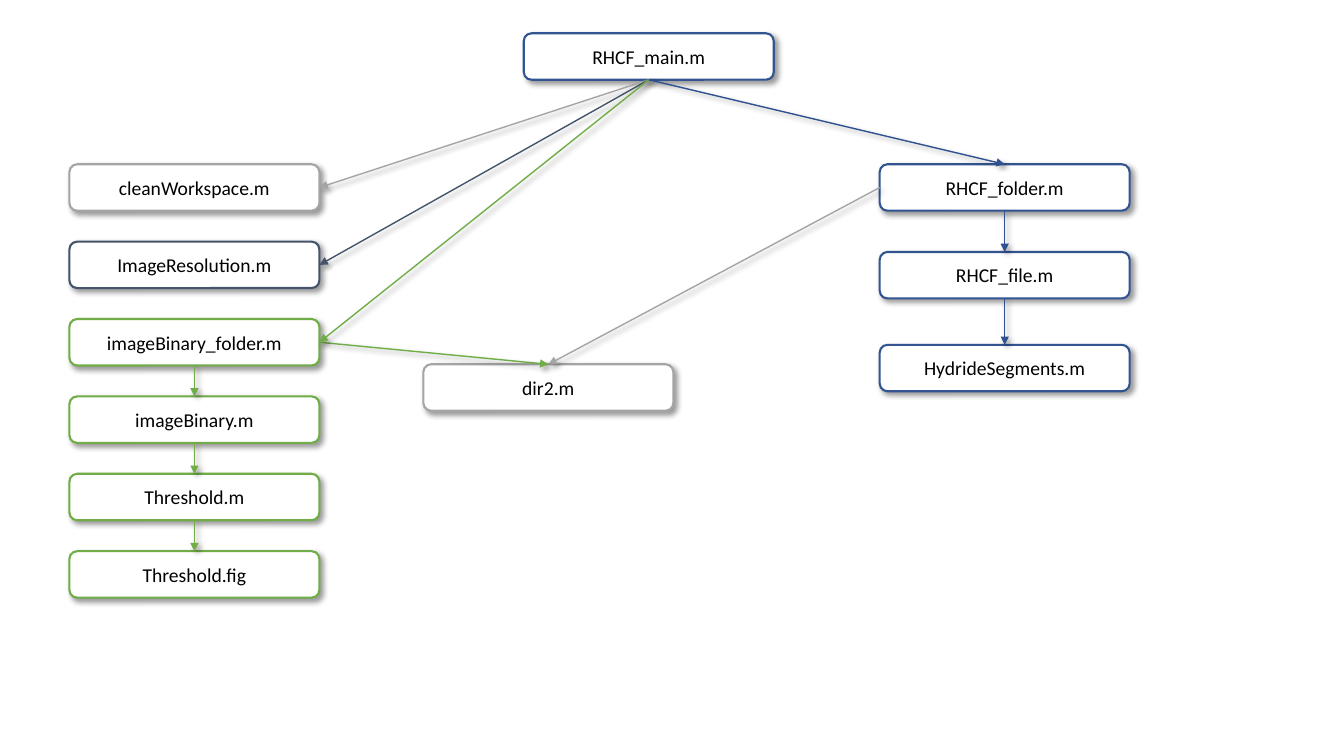
from typing import NamedTuple

from lxml.etree import SubElement
from pptx import Presentation
from pptx.dml.color import RGBColor
from pptx.enum.shapes import MSO_CONNECTOR, MSO_SHAPE
from pptx.enum.text import MSO_ANCHOR, PP_ALIGN
from pptx.oxml.ns import qn
from pptx.util import Cm, Pt

GREY, SLATE, GREEN = "A5A5A5", "44546A", "70AD47"
BLUE, ARROW_BLUE = "325491", "2F518F"
TOP, LEFT, BOTTOM, RIGHT = range(4)  # connection sites of a box

BOX_WIDTH, BOX_HEIGHT = 6.3, 1.17
LEFT_COLUMN, RIGHT_COLUMN = 1.75, 22.17
FIRST_ROW, ROW_PITCH = 4.14, 1.95


class FileBox(NamedTuple):
    name: str
    left: float
    top: float
    colour: str


class Call(NamedTuple):
    caller: str
    start_site: int
    callee: str
    end_site: int
    colour: str


def rgb(colour: str) -> RGBColor:
    return RGBColor.from_string(colour)


def add_shadow(shape) -> None:
    effects = SubElement(shape._element.spPr, qn("a:effectLst"))
    shadow = SubElement(
        effects, qn("a:outerShdw"), blurRad=str(Pt(4)), dist=str(Pt(3)),
        dir="2700000", algn="tl", rotWithShape="0",
    )
    black = SubElement(shadow, qn("a:srgbClr"), val="000000")
    SubElement(black, qn("a:alpha"), val="40000")


def draw_box(page, item: FileBox):
    box = page.shapes.add_shape(
        MSO_SHAPE.ROUNDED_RECTANGLE,
        Cm(item.left), Cm(item.top), Cm(BOX_WIDTH), Cm(BOX_HEIGHT),
    )
    box.fill.solid()
    box.fill.fore_color.rgb = rgb("FFFFFF")
    box.line.color.rgb = rgb(item.colour)
    box.line.width = Pt(1.5)
    add_shadow(box)
    box.text_frame.vertical_anchor = MSO_ANCHOR.MIDDLE
    para = box.text_frame.paragraphs[0]
    para.text = item.name
    para.alignment = PP_ALIGN.CENTER
    para.font.name = "Calibri"
    para.font.size = Pt(14)
    para.font.color.rgb = rgb("000000")
    return box


def draw_call(page, boxes: dict, call: Call) -> None:
    arrow = page.shapes.add_connector(MSO_CONNECTOR.STRAIGHT, 0, 0, 0, 0)
    arrow.begin_connect(boxes[call.caller], call.start_site)
    arrow.end_connect(boxes[call.callee], call.end_site)
    arrow.line.color.rgb = rgb(call.colour)
    arrow.line.width = Pt(1)
    SubElement(arrow._element.spPr.find(qn("a:ln")), qn("a:tailEnd"), type="triangle")
    add_shadow(arrow)


deck = Presentation()
deck.slide_width, deck.slide_height = Cm(33.87), Cm(19.05)
page = deck.slides.add_slide(deck.slide_layouts[6])

# File boxes: evenly spaced left column, then the others
left_files = [
    ("cleanWorkspace.m", GREY),
    ("ImageResolution.m", SLATE),
    ("imageBinary_folder.m", GREEN),
    ("imageBinary.m", GREEN),
    ("Threshold.m", GREEN),
    ("Threshold.fig", GREEN),
]
files = [
    FileBox(name, LEFT_COLUMN, FIRST_ROW + row * ROW_PITCH, colour)
    for row, (name, colour) in enumerate(left_files)
] + [
    FileBox("RHCF_main.m", 13.2, 0.84, BLUE),
    FileBox("RHCF_folder.m", RIGHT_COLUMN, FIRST_ROW, BLUE),
    FileBox("RHCF_file.m", RIGHT_COLUMN, 6.35, BLUE),
    FileBox("HydrideSegments.m", RIGHT_COLUMN, 8.69, BLUE),
    FileBox("dir2.m", 10.67, 9.18, GREY),
]
boxes = {item.name: draw_box(page, item) for item in files}

# Arrows from each file to the files it calls
calls = [
    Call("RHCF_folder.m", LEFT, "dir2.m", TOP, GREY),
    Call("imageBinary_folder.m", RIGHT, "dir2.m", TOP, GREEN),
]
calls += [
    Call("RHCF_main.m", BOTTOM, name, RIGHT, colour)
    for name, colour in left_files[:3]
]
chains = [
    (["imageBinary_folder.m", "imageBinary.m", "Threshold.m", "Threshold.fig"], GREEN),
    (["RHCF_main.m", "RHCF_folder.m", "RHCF_file.m", "HydrideSegments.m"], ARROW_BLUE),
]
calls += [
    Call(caller, BOTTOM, callee, TOP, colour)
    for chain, colour in chains
    for caller, callee in zip(chain, chain[1:])
]
for call in calls:
    draw_call(page, boxes, call)

deck.save("out.pptx")
